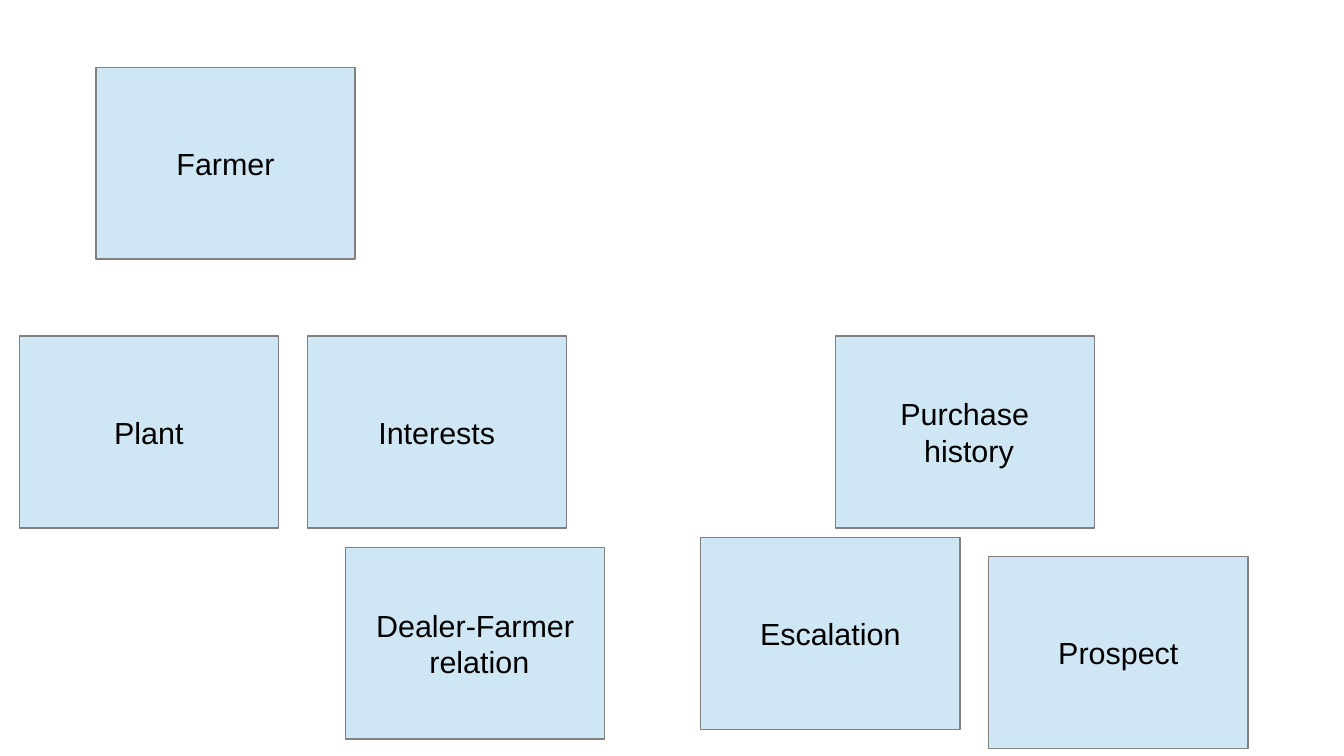
from pptx import Presentation
from pptx.dml.color import RGBColor
from pptx.enum.shapes import MSO_SHAPE as Preset
from pptx.enum.text import MSO_ANCHOR as Anchor, PP_ALIGN as Align
from pptx.util import Cm, Pt

BOX_WIDTH, BOX_HEIGHT = Cm(5.4), Cm(4)
FRAME_FORMAT = {
    "word_wrap": False,
    "vertical_anchor": Anchor.MIDDLE,
    "margin_left": Cm(0.25),
    "margin_right": Cm(0.25),
    "margin_top": Cm(0.13),
    "margin_bottom": Cm(0.13),
}
FONT_FORMAT = {"name": "Arial", "size": Pt(18)}

# Label, left and top in centimetres
ENTITIES = [
    ("Farmer", 2, 1.4),
    ("Plant", 0.4, 7),
    ("Prospect", 20.6, 11.6),
    ("Escalation", 14.6, 11.2),
    ("Interests", 6.4, 7),
    ("Purchase\n history", 17.4, 7),
    ("Dealer-Farmer\n relation", 7.2, 11.4),
]


def set_colour(colour_format, value):
    colour_format.rgb = RGBColor.from_string(value)


def apply_format(target, values):
    for name, value in values.items():
        setattr(target, name, value)


def add_entity(slide, label, left, top):
    shape = slide.shapes.add_shape(
        Preset.RECTANGLE, Cm(left), Cm(top), BOX_WIDTH, BOX_HEIGHT
    )
    shape.shadow.inherit = False
    shape.fill.solid()
    set_colour(shape.fill.fore_color, "CFE7F5")
    set_colour(shape.line.color, "808080")
    shape.line.width = Pt(0)

    frame = shape.text_frame
    apply_format(frame, FRAME_FORMAT)
    frame.text = label
    for paragraph in frame.paragraphs:
        paragraph.alignment = Align.CENTER
        apply_format(paragraph.font, FONT_FORMAT)
        set_colour(paragraph.font.color, "000000")


def main():
    presentation = Presentation()
    presentation.slide_width = Cm(28)
    presentation.slide_height = Cm(15.75)
    slide = presentation.slides.add_slide(presentation.slide_layouts[6])
    for label, left, top in ENTITIES:
        add_entity(slide, label, left, top)
    presentation.save("out.pptx")


if __name__ == "__main__":
    main()
